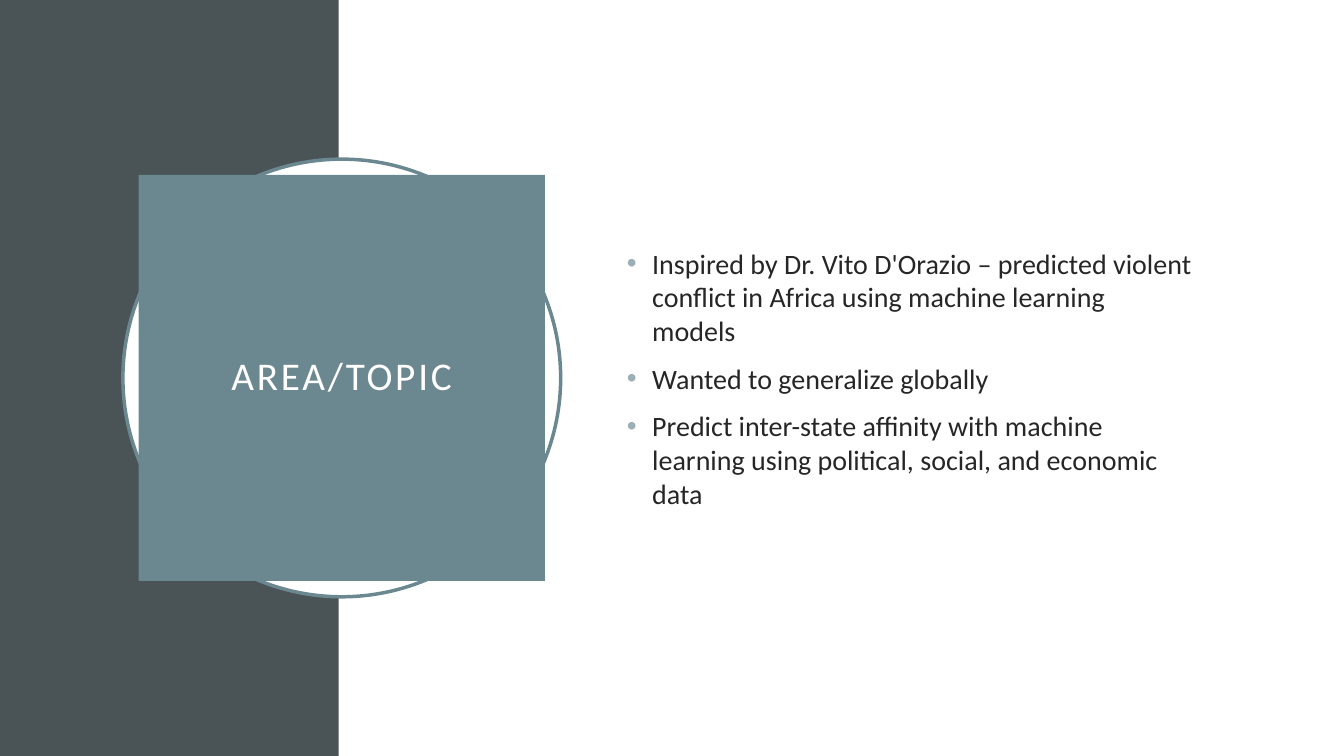
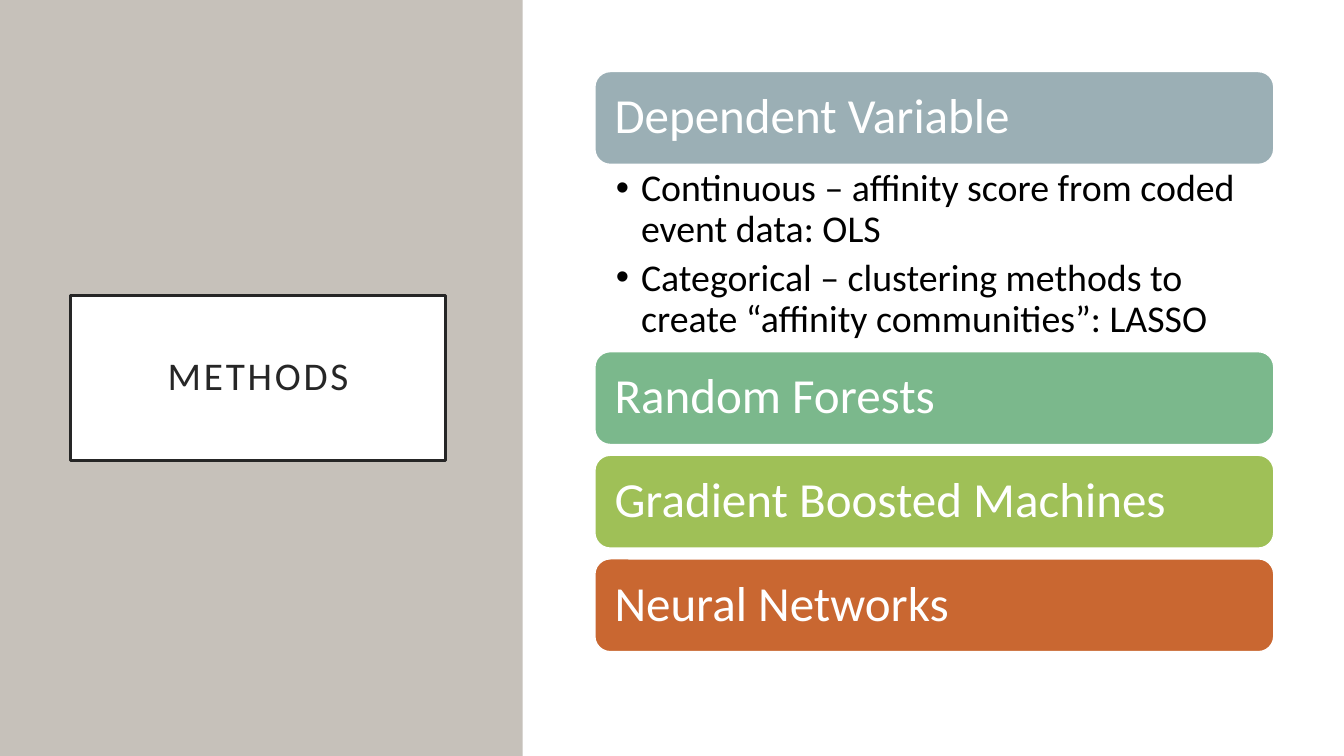
from lxml import etree
from pptx import Presentation
from pptx.dml.color import RGBColor
from pptx.enum.shapes import MSO_SHAPE
from pptx.enum.text import MSO_ANCHOR, PP_ALIGN
from pptx.oxml.ns import qn
from pptx.util import Emu, Inches, Pt

RECTANGLE = MSO_SHAPE.RECTANGLE
ROUNDED = MSO_SHAPE.ROUNDED_RECTANGLE
OVAL = MSO_SHAPE.OVAL
TOP, MIDDLE = MSO_ANCHOR.TOP, MSO_ANCHOR.MIDDLE
LEFT, CENTER = PP_ALIGN.LEFT, PP_ALIGN.CENTER

FONT = "Calibri"
COLORS = {
    "white": "FFFFFF", "black": "000000", "ink": "262626", "slate": "4A5356",
    "teal": "6B8891", "mist": "9BAFB5", "stone": "C6C1BA",
    "green": "7BB88C", "lime": "9FC057", "rust": "C96731",
}

# Square grid cells, twelve to the inch
COLUMNS, ROWS = 160, 90
SLIDE_WIDTH, SLIDE_HEIGHT = Inches(13.33), Inches(7.5)
CELL = SLIDE_HEIGHT / ROWS
MID_ROW = ROWS / 2
BULLET_INDENT = 3


def cells(count):
    return Emu(round(count * CELL))


def rgb(name):
    return RGBColor.from_string(COLORS[name])


def add_bullet(paragraph, color):
    properties = paragraph._p.get_or_add_pPr()
    indent = cells(BULLET_INDENT)
    properties.set("marL", str(indent))
    properties.set("indent", str(-indent))
    bullet_color = etree.SubElement(properties, qn("a:buClr"))
    etree.SubElement(bullet_color, qn("a:srgbClr"), val=COLORS[color])
    etree.SubElement(properties, qn("a:buFont"), typeface="Arial")
    etree.SubElement(properties, qn("a:buChar"), char="•")


def write(frame, lines, size, color, align=LEFT, anchor=MIDDLE,
          insets=(1.2, 0.6, 1.2, 0.6), line_spacing=None, before=0, after=0,
          tracking=0, bullet=None):
    """Fill a frame, one paragraph a line; insets are left, top, right, bottom."""
    frame.word_wrap = True
    frame.vertical_anchor = anchor
    (frame.margin_left, frame.margin_top,
     frame.margin_right, frame.margin_bottom) = map(cells, insets)
    for index, line in enumerate(lines):
        paragraph = frame.add_paragraph() if index else frame.paragraphs[0]
        paragraph.alignment = align
        paragraph.space_before, paragraph.space_after = Pt(before), Pt(after)
        if line_spacing:
            paragraph.line_spacing = line_spacing
        if bullet:
            add_bullet(paragraph, bullet)
        run = paragraph.add_run()
        run.text = line
        run.font.name, run.font.size = FONT, Pt(size)
        run.font.color.rgb = rgb(color)
        if tracking:
            run._r.get_or_add_rPr().set("spc", str(tracking * 100))


class Deck:
    """Holds the presentation, its style and the slide being built."""

    def __init__(self):
        self.presentation = Presentation()
        self.presentation.slide_width = SLIDE_WIDTH
        self.presentation.slide_height = SLIDE_HEIGHT
        self.slide = None

    def new_slide(self, band_color, band_columns):
        """Start a slide with a full-height band on its left."""
        self.slide = self.presentation.slides.add_slide(
            self.presentation.slide_layouts[6])
        self.shape(RECTANGLE, 0, 0, band_columns, ROWS, band_color)

    def shape(self, kind, left, top, width, height, fill, line=None, weight=2.5):
        shape = self.slide.shapes.add_shape(
            kind, *map(cells, (left, top, width, height)))
        shape.shadow.inherit = False
        shape.fill.solid()
        shape.fill.fore_color.rgb = rgb(fill)
        if line:
            shape.line.color.rgb = rgb(line)
            shape.line.width = Pt(weight)
        else:
            shape.line.fill.background()
        return shape

    def centered(self, kind, center, width, height, fill, line=None):
        """Place a shape around a column, halfway down the slide."""
        return self.shape(kind, center - width / 2, MID_ROW - height / 2,
                          width, height, fill, line)

    def title(self, text, center, width, height, fill, color, line=None):
        box = self.centered(RECTANGLE, center, width, height, fill, line)
        write(box.text_frame, [text], 28, color, align=CENTER,
              insets=(2.4,) * 4, line_spacing=0.9, tracking=2)

    def bullets(self, lines, left, top, width, height, **style):
        box = self.slide.shapes.add_textbox(
            *map(cells, (left, top, width, height)))
        write(box.text_frame, lines, **style)

    def card(self, heading, left, top, width, height, fill):
        card = self.shape(ROUNDED, left, top, width, height, fill, "white", 1)
        write(card.text_frame, [heading], 35, "white",
              insets=(1.8, 0, 1.8, 0), line_spacing=0.9)


def build_topic(deck):
    center, ring, square = 40.68, 52.1, 48.35
    deck.new_slide("slate", 40.3)
    deck.centered(OVAL, center, ring, ring, "white", "teal")
    deck.title("AREA/TOPIC", center, square, square, "teal", "white")
    body_height = 53.2
    deck.bullets(
        ["Inspired by Dr. Vito D'Orazio – predicted violent conflict in Africa "
         "using machine learning models",
         "Wanted to generalize globally",
         "Predict inter-state affinity with machine learning using political, "
         "social, and economic data"],
        73.44, MID_ROW - body_height / 2, 69.84, body_height,
        size=20, color="ink", before=10, bullet="mist")


def build_methods(deck):
    deck.new_slide("stone", 62.2)
    deck.title("METHODS", 30.72, 44.64, 19.68, "white", "ink", line="ink")

    methods = [
        ("Dependent Variable", "mist",
         ["Continuous – affinity score from coded event data: OLS",
          "Categorical – clustering methods to create “affinity communities”: "
          "LASSO"]),
        ("Random Forests", "green", []),
        ("Gradient Boosted Machines", "lime", []),
        ("Neural Networks", "rust", []),
    ]
    left, top, width = 70.8, 8.52, 80.8
    card_height, details_height, gap = 11.05, 22.3, 1.28
    for heading, fill, details in methods:
        deck.card(heading, left, top, width, card_height, fill)
        top += card_height
        if details:
            deck.bullets(details, left, top, width, details_height,
                         size=27, color="black", anchor=TOP,
                         insets=(2.5, 0.6, 3.25, 0.6), line_spacing=0.9,
                         after=5.4, bullet="black")
        top += details_height if details else gap


def main():
    deck = Deck()
    build_topic(deck)
    build_methods(deck)
    deck.presentation.save("out.pptx")


if __name__ == "__main__":
    main()
